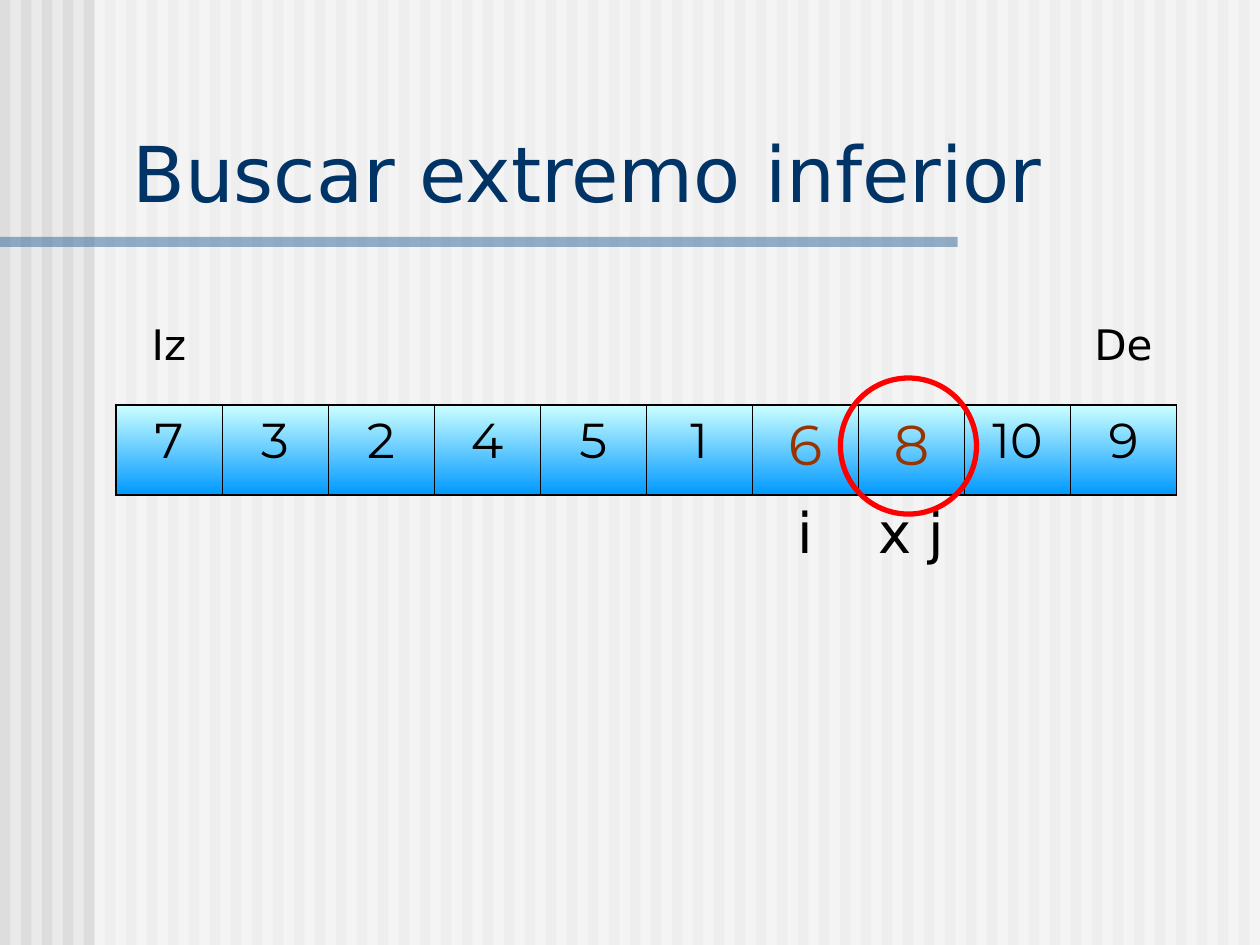
"""Build the slide on finding the lower end of an array partition."""
from lxml import etree
from pptx import Presentation
from pptx import util as u
from pptx.dml.color import RGBColor
from pptx.enum import shapes, text
from pptx.oxml.ns import qn

TITLE = "Buscar extremo inferior"
VALUES = ["7", "3", "2", "4", "5", "1", "6", "8", "10", "9"]
COMPARED = {"6", "8"}
ENDS = {0: "Iz", 9: "De"}
INDEXES = {6: "i", 7: "x j"}
COLORS = {
    "background": "EAEAEA", "stripe": "DDDDDD", "veil": "FFFFFF",
    "rule": "336699", "title": "003366", "text": "000000",
    "compared": "993300", "cell_top": "CCFFFF", "cell_bottom": "0099FF",
    "ring": "FF0000",
}
LABEL_FONT, VALUE_FONT = "DejaVu Sans", "Montserrat"
STRIPES, STRIPE_PITCH = 60, 1 / 6
ARRAY_LEFT, ARRAY_TOP, ARRAY_WIDTH, ARRAY_HEIGHT = 0.92, 2.5, 8.42, 2.14
OUTER, INNER = 1.08, 0.45
NO_STYLE = "{2D5ABB26-0587-4C30-8999-92F81FD0307C}"


def rgb(name):
    return RGBColor.from_string(COLORS[name])


def add_band(slide, box, color, opacity=100):
    band = slide.shapes.add_shape(shapes.MSO_SHAPE.RECTANGLE, *map(u.Inches, box))
    band.shadow.inherit = False
    band.line.fill.background()
    band.fill.solid()
    band.fill.fore_color.rgb = rgb(color)
    if opacity < 100:
        tint = band.fill._xPr.find(".//" + qn("a:srgbClr"))
        etree.SubElement(tint, qn("a:alpha"), val=str(opacity * 1000))


def write(cell, wording, size, font, color="text"):
    paragraph = cell.text_frame.paragraphs[0]
    paragraph.text = wording
    paragraph.alignment = text.PP_ALIGN.CENTER
    paragraph.space_before = u.Pt(size // 4)
    paragraph.font.size = u.Pt(size)
    paragraph.font.name = font
    paragraph.font.color.rgb = rgb(color)


def set_borders(cell, widths):
    properties = cell._tc.get_or_add_tcPr()
    for position, (side, width) in enumerate(widths.items()):
        border = etree.Element(qn(f"a:ln{side}"), w=str(u.Pt(width)))
        fill = etree.SubElement(border, qn("a:solidFill"))
        etree.SubElement(fill, qn("a:srgbClr"), val=COLORS["text"])
        properties.insert(position, border)


def add_array(slide):
    last = len(VALUES) - 1
    box = map(u.Inches, (ARRAY_LEFT, ARRAY_TOP, ARRAY_WIDTH, ARRAY_HEIGHT))
    array = slide.shapes.add_table(3, len(VALUES), *box).table
    array.first_row = array.horz_banding = False
    array._tbl.tblPr.find(qn("a:tableStyleId")).text = NO_STYLE
    for column, value in enumerate(VALUES):
        end, item, index = (array.cell(row, column) for row in range(3))
        end.fill.background()
        index.fill.background()
        if column in ENDS:
            write(end, ENDS[column], 24, LABEL_FONT)
        if column in INDEXES:
            write(index, INDEXES[column], 32, LABEL_FONT)
        if value in COMPARED:
            write(item, value, 32, VALUE_FONT, "compared")
        else:
            write(item, value, 28, VALUE_FONT)
        item.fill.gradient()
        item.fill.gradient_angle = 270
        for stop, color in zip(item.fill.gradient_stops, ("cell_top", "cell_bottom")):
            stop.color.rgb = rgb(color)
        set_borders(end, {"B": OUTER})
        set_borders(item, {"L": INNER if column else OUTER,
                           "R": INNER if column < last else OUTER,
                           "T": OUTER, "B": OUTER})
        set_borders(index, {"T": OUTER})


def format_title(slide):
    title = slide.shapes.title
    title.left, title.top, title.width, title.height = map(u.Inches, (0.95, 0.94, 8.93, 0.84))
    title.text_frame.text = TITLE
    title.text_frame.auto_size = text.MSO_AUTO_SIZE.NONE
    title.text_frame.vertical_anchor = text.MSO_ANCHOR.BOTTOM
    heading = title.text_frame.paragraphs[0]
    heading.alignment = text.PP_ALIGN.LEFT
    heading.font.size = u.Pt(44)
    heading.font.name = LABEL_FONT
    heading.font.color.rgb = rgb("title")
    slide.shapes._spTree.append(title._element)


def add_ring(slide):
    ring = slide.shapes.add_shape(shapes.MSO_SHAPE.OVAL, *map(u.Inches, (6.67, 3, 1.08, 1.08)))
    ring.shadow.inherit = False
    ring.fill.background()
    ring.line.color.rgb = rgb("ring")
    ring.line.width = u.Pt(3)


def main():
    deck = Presentation()
    deck.slide_width, deck.slide_height = u.Inches(10), u.Inches(7.5)
    slide = deck.slides.add_slide(deck.slide_layouts.get_by_name("Title Only"))
    slide.background.fill.solid()
    slide.background.fill.fore_color.rgb = rgb("background")
    for stripe in range(STRIPES):
        add_band(slide, (stripe * STRIPE_PITCH, 0, STRIPE_PITCH / 2, 7.5), "stripe")
    add_band(slide, (0.75, 0, 9.25, 7.5), "veil", 50)
    add_band(slide, (0, 1.88, 7.6, 0.08), "rule", 50)
    add_array(slide)
    format_title(slide)
    add_ring(slide)
    deck.save("out.pptx")


if __name__ == "__main__":
    main()
